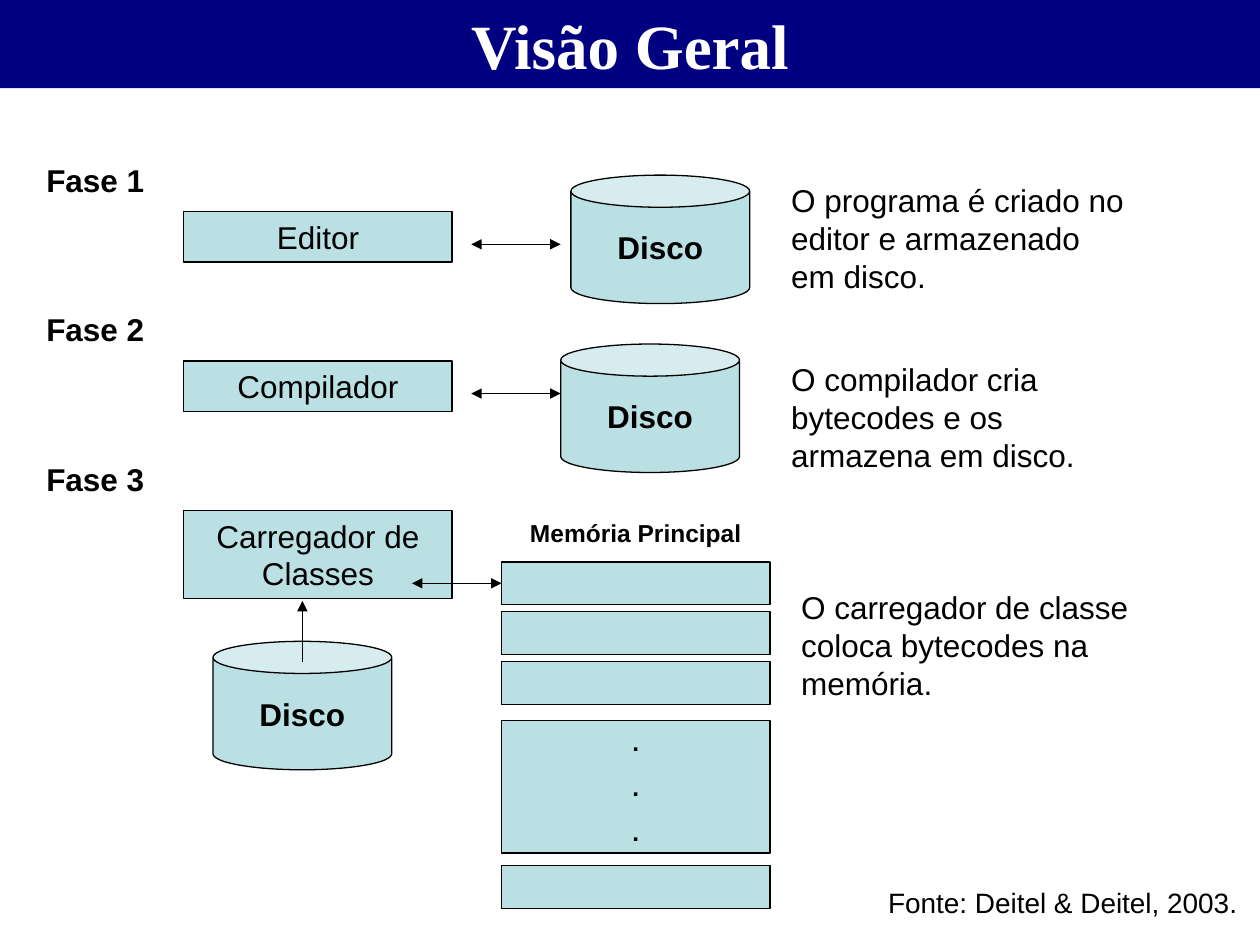
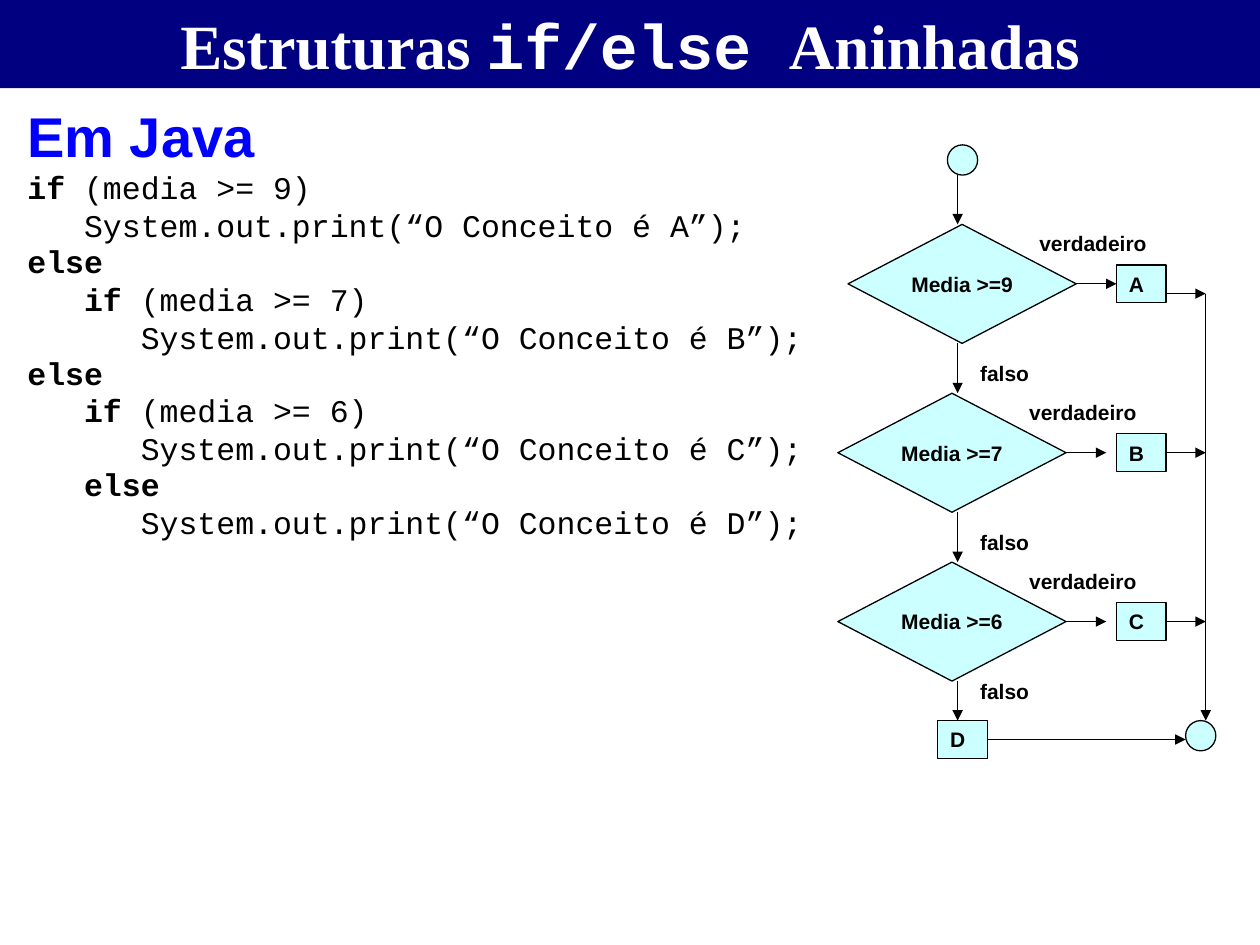
from lxml import etree
from pptx import Presentation
from pptx.dml.color import RGBColor
from pptx.enum import shapes, text as txt
from pptx.oxml import ns
from pptx.util import Pt

COLORS = {"navy": "000080", "white": "FFFFFF", "black": "000000",
          "teal": "BBE0E3", "cyan": "CCFFFF", "blue": "0000FF"}
SHAPE = shapes.MSO_SHAPE
LEFT, CENTER, RIGHT = txt.PP_ALIGN.LEFT, txt.PP_ALIGN.CENTER, txt.PP_ALIGN.RIGHT
SERIF, SANS, MONO = "Times New Roman", "Arial", "Courier New"


def block(slide, at, paragraphs=(), kind=None, fill=None, line="black", size=18, bold=False,
          color="black", font=SANS, align=LEFT, before=0, inset=7.2, wrap=True):
    """Draw a shape, or a text box without kind; a paragraph is a string or a list of (text, format)."""
    box = [Pt(length) for length in at]
    if kind is None:
        item = slide.shapes.add_textbox(*box)
    else:
        item = slide.shapes.add_shape(kind, *box)
        item.shadow.inherit = False
        item.fill.solid()
        item.fill.fore_color.rgb = RGBColor.from_string(COLORS[fill])
        if line:
            item.line.color.rgb = RGBColor.from_string(COLORS[line])
            item.line.width = Pt(0.75)
        else:
            item.line.fill.background()
    frame = item.text_frame
    frame.word_wrap = wrap
    frame.margin_left = frame.margin_right = Pt(inset)
    frame.margin_top = frame.margin_bottom = Pt(3.6)
    frame.vertical_anchor = txt.MSO_ANCHOR.MIDDLE if kind else txt.MSO_ANCHOR.TOP
    for i, content in enumerate(paragraphs):
        paragraph = frame.add_paragraph() if i else frame.paragraphs[0]
        paragraph.alignment = align
        if i and before:
            paragraph.space_before = Pt(before)
        for words, look in ([(content, {})] if isinstance(content, str) else content):
            run = paragraph.add_run()
            run.text = words
            run.font.name = look.get("font", font)
            run.font.size = Pt(look.get("size", size))
            run.font.bold = look.get("bold", bold)
            run.font.color.rgb = RGBColor.from_string(COLORS[look.get("color", color)])
    return item


def arrow(slide, start, end, ends=("tailEnd",)):
    """Draw a straight arrow; headEnd marks its start and tailEnd its end."""
    link = slide.shapes.add_connector(shapes.MSO_CONNECTOR.STRAIGHT,
                                      *[Pt(length) for length in (*start, *end)])
    link.line.color.rgb = RGBColor.from_string(COLORS["black"])
    link.line.width = Pt(0.75)
    outline = link.line._get_or_add_ln()
    for tip in ends:
        etree.SubElement(outline, ns.qn("a:" + tip), type="triangle")
    etree.SubElement(link._element.spPr, ns.qn("a:effectLst"))
    return link


deck = Presentation()
deck.slide_width, deck.slide_height = Pt(720), Pt(540)

titles = [
    [("Visão Geral", {})],
    [("Estruturas ", {}), ("if/else ", {"font": MONO}), ("Aninhadas", {})],
]
pages = []
for title in titles:
    page = deck.slides.add_slide(deck.slide_layouts[6])
    block(page, (0, 0, 720, 50.4), [title], SHAPE.RECTANGLE, "navy", None, size=36,
          bold=True, color="white", font=SERIF, align=CENTER)
    pages.append(page)
overview, nested = pages

# Visão Geral: the three phases
BOTH = ("headEnd", "tailEnd")
PHASE_STEP = 85.3
phases = [
    ("Editor", 28.8, (326.2, 100.1),
     "O programa é criado no editor e armazenado em disco.", (445, 100.1)),
    ("Compilador", 28.8, (320.4, 196.6),
     "O compilador cria bytecodes e os armazena em disco.", (445, 202.3)),
    ("Carregador de Classes", 50.4, (121.7, 366.5),
     "O carregador de classe coloca bytecodes na memória.", (450.7, 332.6)),
]
for i, (tool, height, disk_at, note, note_at) in enumerate(phases):
    drop = i * PHASE_STEP
    block(overview, (19.4, 88.6 + drop, 79.2, 28.8), [f"Fase {i + 1}"], bold=True)
    block(overview, (105, 121 + drop, 153.4, height), [tool], SHAPE.RECTANGLE, "teal",
          align=CENTER)
    block(overview, (*disk_at, 102.2, 73.4), ["Disco"], SHAPE.CAN, "teal",
          bold=True, align=CENTER)
    block(overview, (*note_at, 204.5, 72), [note])
    if i < 2:
        arrow(overview, (269.3, 139.6 + drop), (320.4, 139.6 + drop), BOTH)
arrow(overview, (172.8, 343.4), (172.8, 378), ("headEnd",))

block(overview, (286.6, 292.3, 153.4, 24.5), ["Memória Principal"], size=14, bold=True,
      align=CENTER)
cells = [block(overview, (286.6, top, 153.4, 24.5), (), SHAPE.RECTANGLE, "teal")
         for top in (321.1, 349.5, 378, 494.6)]
block(overview, (286.6, 411.8, 153.4, 75.6), [".", ".", "."], SHAPE.RECTANGLE, "teal",
      size=14, bold=True, align=CENTER, before=8.8)
loading = arrow(overview, (235.4, 333.35), (286.6, 333.35), BOTH)
loading.end_connect(cells[0], 1)
block(overview, (354.2, 502.6, 360, 26.6), ["Fonte: Deitel & Deitel, 2003."], size=16,
      align=RIGHT)

# Estruturas if/else Aninhadas: the code
STRONG = {"bold": True}
code = [
    [("if ", STRONG), ("(media >= 9)", {})],
    "   System.out.print(“O Conceito é A”);",
    [("else", STRONG)],
    [("   if ", STRONG), ("(media >= 7)", {})],
    "      System.out.print(“O Conceito é B”);",
    [("else", STRONG)],
    [("   if ", STRONG), ("(media >= 6)", {})],
    "      System.out.print(“O Conceito é C”);",
    [("   else", STRONG)],
    "      System.out.print(“O Conceito é D”);",
]
heading = [("Em Java", {"font": SANS, "size": 32, "bold": True, "color": "blue"})]
listing = block(nested, (8.6, 54.7, 465.1, 254.9), [heading, *code], font=MONO, before=1.1)
for row in listing.text_frame.paragraphs[1:]:
    row.line_spacing = 0.95
    if row.text.strip() == "else":
        row.space_before = Pt(0)

# The flowchart beside it
TEST_STEP = 96.5
FLOW_X, MERGE_X, END_Y = 547.2, 689, 411.8
grade_look = dict(kind=SHAPE.RECTANGLE, fill="cyan", size=12, bold=True, wrap=False)
label_look = dict(size=12, bold=True, wrap=False)

for x, y in ((541.4, 82.8), (677.5, END_Y)):
    block(nested, (x, y, 17.3, 17.3), (), SHAPE.FLOWCHART_CONNECTOR, "cyan")
arrow(nested, (FLOW_X, 100.1), (FLOW_X, 128.2))

tests = [("Media >=9", "A", 484.6), ("Media >=7", "B", 478.8), ("Media >=6", "C", 478.8)]
for i, (condition, grade, x) in enumerate(tests):
    first, last = i == 0, i == len(tests) - 1
    top = 128.2 + i * TEST_STEP
    middle, bottom = top + 34, top + 68
    test = block(nested, (x, top, 130.4, 68), [condition], SHAPE.FLOWCHART_DECISION, "cyan",
                 size=12, bold=True, align=CENTER, inset=0, wrap=False)
    result = block(nested, (638, middle - 10.8, 28.3, 21.6), [grade], **grade_look)
    block(nested, (x + 102.2, top, 85, 21.6), ["verdadeiro"], **label_look)
    block(nested, (553, 384.5 if last else bottom + 6.1, 45.4, 21.6), ["falso"], **label_look)

    when_true = arrow(nested, (x + 130.4, middle), (638 if first else 632.2, middle))
    when_true.begin_connect(test, 3)
    if first:
        when_true.end_connect(result, 1)
        arrow(nested, (666.3, 167.8), (MERGE_X, 167.8))
    else:
        arrow(nested, (666.3, middle), (MERGE_X, middle)).begin_connect(result, 3)
    arrow(nested, (FLOW_X, bottom), (FLOW_X, END_Y if last else top + TEST_STEP))

otherwise = block(nested, (535.9, END_Y, 28.3, 21.6), ["D"], **grade_look)
arrow(nested, (564.2, 422.6), (677.5, 422.6)).begin_connect(otherwise, 3)
arrow(nested, (MERGE_X, 167.8), (MERGE_X, END_Y))

deck.save("out.pptx")
